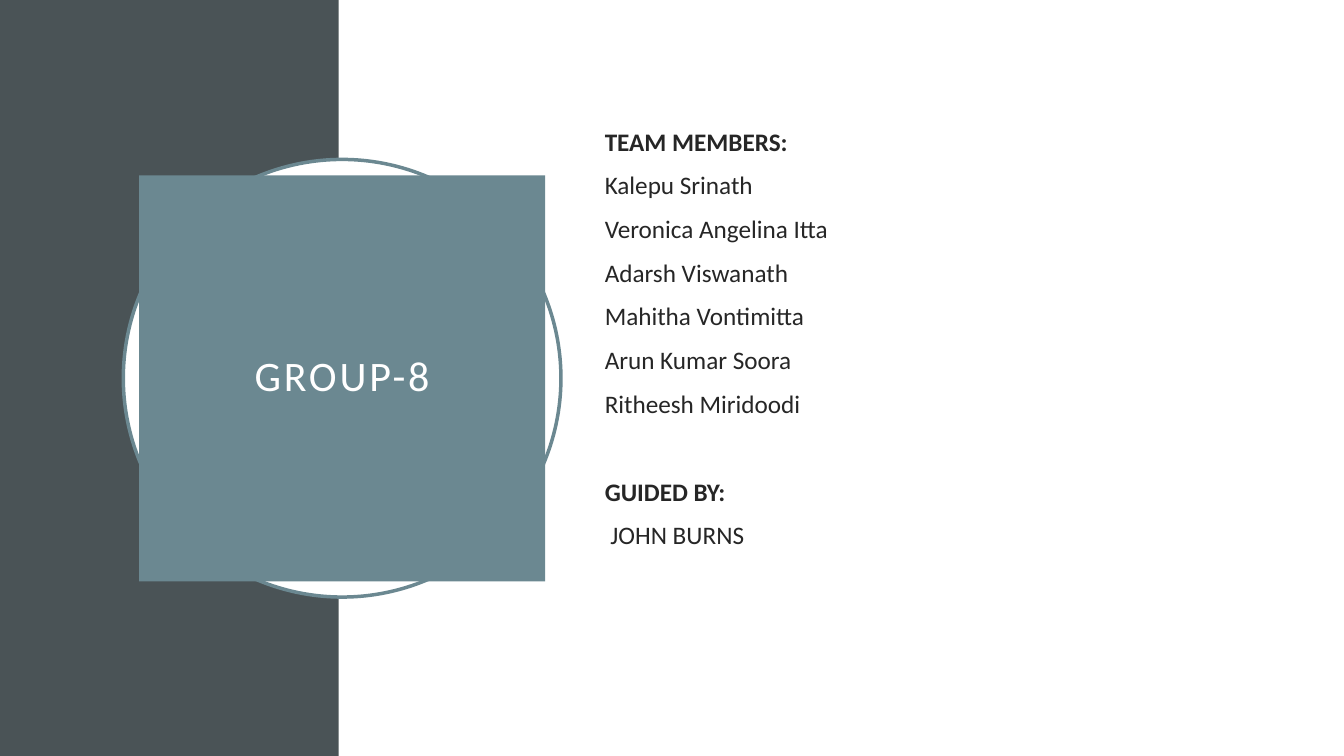
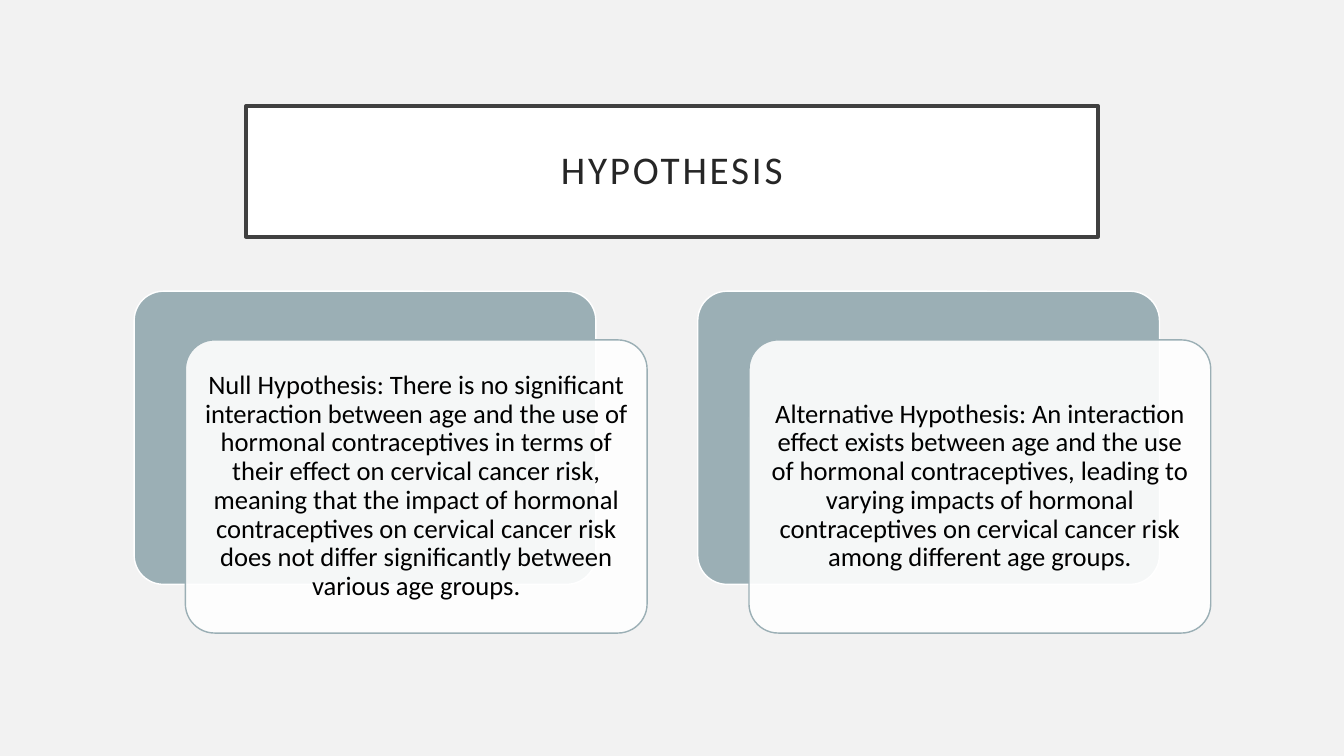
import pptx
import pptx.dml.color
import pptx.enum.shapes
import pptx.enum.text
import pptx.oxml.ns
import pptx.util
from lxml import etree

Pt = pptx.util.Pt
RGBColor = pptx.dml.color.RGBColor
MSO_SHAPE = pptx.enum.shapes.MSO_SHAPE
PP_ALIGN = pptx.enum.text.PP_ALIGN
MSO_ANCHOR = pptx.enum.text.MSO_ANCHOR
qn = pptx.oxml.ns.qn

WHITE = RGBColor(0xFF, 0xFF, 0xFF)
BLACK = RGBColor(0x00, 0x00, 0x00)
PALE_GREY = RGBColor(0xF2, 0xF2, 0xF2)
SLATE = RGBColor(0x4A, 0x53, 0x56)
TEAL = RGBColor(0x6B, 0x88, 0x91)
LIGHT_TEAL = RGBColor(0x9B, 0xAF, 0xB5)
FRAME_GREY = RGBColor(0x40, 0x40, 0x40)
INK = RGBColor(0x26, 0x26, 0x26)

FONT = "Calibri"
SLIDE_WIDTH, SLIDE_HEIGHT = 960, 540
TITLE_SPACING = 2
TITLE_INSET = 14.4
CENTERED = {"alignment": PP_ALIGN.CENTER, "line_spacing": 0.9}

BAND_WIDTH = 242
BADGE_CENTER = (244.4, 270.2)
BADGE_SIDE = 290
RING_DIAMETER = 312.6

MEMBERS_BOX = (432, 90, 432, 330)
LINE_GAP = 9.6
SECTION_GAP = 41.2
TEAM_SECTIONS = [
    ("TEAM MEMBERS:", [
        "Kalepu Srinath",
        "Veronica Angelina Itta",
        "Adarsh Viswanath",
        "Mahitha Vontimitta",
        "Arun Kumar Soora",
        "Ritheesh Miridoodi",
    ]),
    ("GUIDED BY:", [" JOHN BURNS"]),
]

HYPOTHESIS_TITLE_BOX = (175.7, 75.6, 608.6, 93.6)
CARD_LEFT, CARD_TOP = 95.8, 208
CARD_WIDTH, CARD_HEIGHT = 329.8, 209.4
CARD_PITCH = 402.6
CARD_SHIFT_X, CARD_SHIFT_Y = 36.6, 34.8
CARD_ROUNDING = 0.1
CARD_OPACITY = 90
CARD_INSET = 6
HYPOTHESES = [
    "Null Hypothesis: There is no significant interaction between age and the "
    "use of hormonal contraceptives in terms of their effect on cervical cancer "
    "risk, meaning that the impact of hormonal contraceptives on cervical cancer "
    "risk does not differ significantly between various age groups.",
    "Alternative Hypothesis: An interaction effect exists between age and the "
    "use of hormonal contraceptives, leading to varying impacts of hormonal "
    "contraceptives on cervical cancer risk among different age groups.",
]


def set_attributes(target, values):
    for name, value in values.items():
        setattr(target, name, value)


def add_slide(presentation, background):
    slide = presentation.slides.add_slide(presentation.slide_layouts[6])
    slide.background.fill.solid()
    slide.background.fill.fore_color.rgb = background
    return slide


def add_box(slide, kind, box, fill, line=None, line_width=1, opacity=100):
    shape = slide.shapes.add_shape(kind, *map(Pt, box))
    shape.shadow.inherit = False
    shape.fill.solid()
    shape.fill.fore_color.rgb = fill
    if opacity < 100:
        color = shape.fill._xPr.find(qn("a:solidFill")).find(qn("a:srgbClr"))
        etree.SubElement(color, qn("a:alpha"), val=str(opacity * 1000))
    if line is None:
        shape.line.fill.background()
    else:
        shape.line.color.rgb = line
        shape.line.width = Pt(line_width)
    return shape


def format_frame(frame, inset, anchor):
    sides = ("left", "top", "right", "bottom")
    set_attributes(frame, {f"margin_{side}": Pt(inset) for side in sides})
    set_attributes(frame, {"word_wrap": True, "vertical_anchor": anchor})


def write_paragraph(paragraph, text, size, color, layout, bold=False, spacing=0):
    set_attributes(paragraph, layout)
    run = paragraph.add_run()
    run.text = text
    set_attributes(run.font, {"name": FONT, "size": Pt(size), "bold": bold})
    run.font.color.rgb = color
    if spacing:
        run.font._element.set("spc", str(spacing * 100))


def add_title(slide, box, text, size, color, fill, line=None):
    shape = add_box(slide, MSO_SHAPE.RECTANGLE, box, fill, line, 2.5)
    format_frame(shape.text_frame, TITLE_INSET, MSO_ANCHOR.MIDDLE)
    write_paragraph(shape.text_frame.paragraphs[0], text, size, color,
                    CENTERED, spacing=TITLE_SPACING)


def centered_square(center, side):
    return (center[0] - side / 2, center[1] - side / 2, side, side)


def add_sections(slide, box, sections):
    frame = slide.shapes.add_textbox(*map(Pt, box)).text_frame
    format_frame(frame, 0, MSO_ANCHOR.TOP)
    for index, (heading, names) in enumerate(sections):
        paragraph = frame.add_paragraph() if index else frame.paragraphs[0]
        gap = SECTION_GAP if index else 0
        write_paragraph(paragraph, heading, 18, INK,
                        {"space_before": Pt(gap)}, bold=True)
        for name in names:
            write_paragraph(frame.add_paragraph(), name, 18, INK,
                            {"space_before": Pt(LINE_GAP)})


def add_card(slide, left, top, text):
    size = (CARD_WIDTH, CARD_HEIGHT)
    back = add_box(slide, MSO_SHAPE.ROUNDED_RECTANGLE, (left, top, *size),
                   LIGHT_TEAL, WHITE)
    front = add_box(slide, MSO_SHAPE.ROUNDED_RECTANGLE,
                    (left + CARD_SHIFT_X, top + CARD_SHIFT_Y, *size),
                    WHITE, LIGHT_TEAL, opacity=CARD_OPACITY)
    for shape in (back, front):
        shape.adjustments[0] = CARD_ROUNDING
    format_frame(front.text_frame, CARD_INSET, MSO_ANCHOR.MIDDLE)
    write_paragraph(front.text_frame.paragraphs[0], text, 19, BLACK, CENTERED)


def build_team_slide(presentation):
    slide = add_slide(presentation, WHITE)
    add_box(slide, MSO_SHAPE.RECTANGLE, (0, 0, BAND_WIDTH, SLIDE_HEIGHT), SLATE)
    add_box(slide, MSO_SHAPE.OVAL, centered_square(BADGE_CENTER, RING_DIAMETER),
            WHITE, TEAL, 2.5)
    add_title(slide, centered_square(BADGE_CENTER, BADGE_SIDE), "GROUP-8", 30,
              WHITE, TEAL)
    add_sections(slide, MEMBERS_BOX, TEAM_SECTIONS)


def build_hypothesis_slide(presentation):
    slide = add_slide(presentation, PALE_GREY)
    add_title(slide, HYPOTHESIS_TITLE_BOX, "HYPOTHESIS", 28, INK, WHITE,
              FRAME_GREY)
    for index, text in enumerate(HYPOTHESES):
        add_card(slide, CARD_LEFT + index * CARD_PITCH, CARD_TOP, text)


def main():
    presentation = pptx.Presentation()
    set_attributes(presentation, {"slide_width": Pt(SLIDE_WIDTH),
                                  "slide_height": Pt(SLIDE_HEIGHT)})
    build_team_slide(presentation)
    build_hypothesis_slide(presentation)
    presentation.save("out.pptx")


if __name__ == "__main__":
    main()
